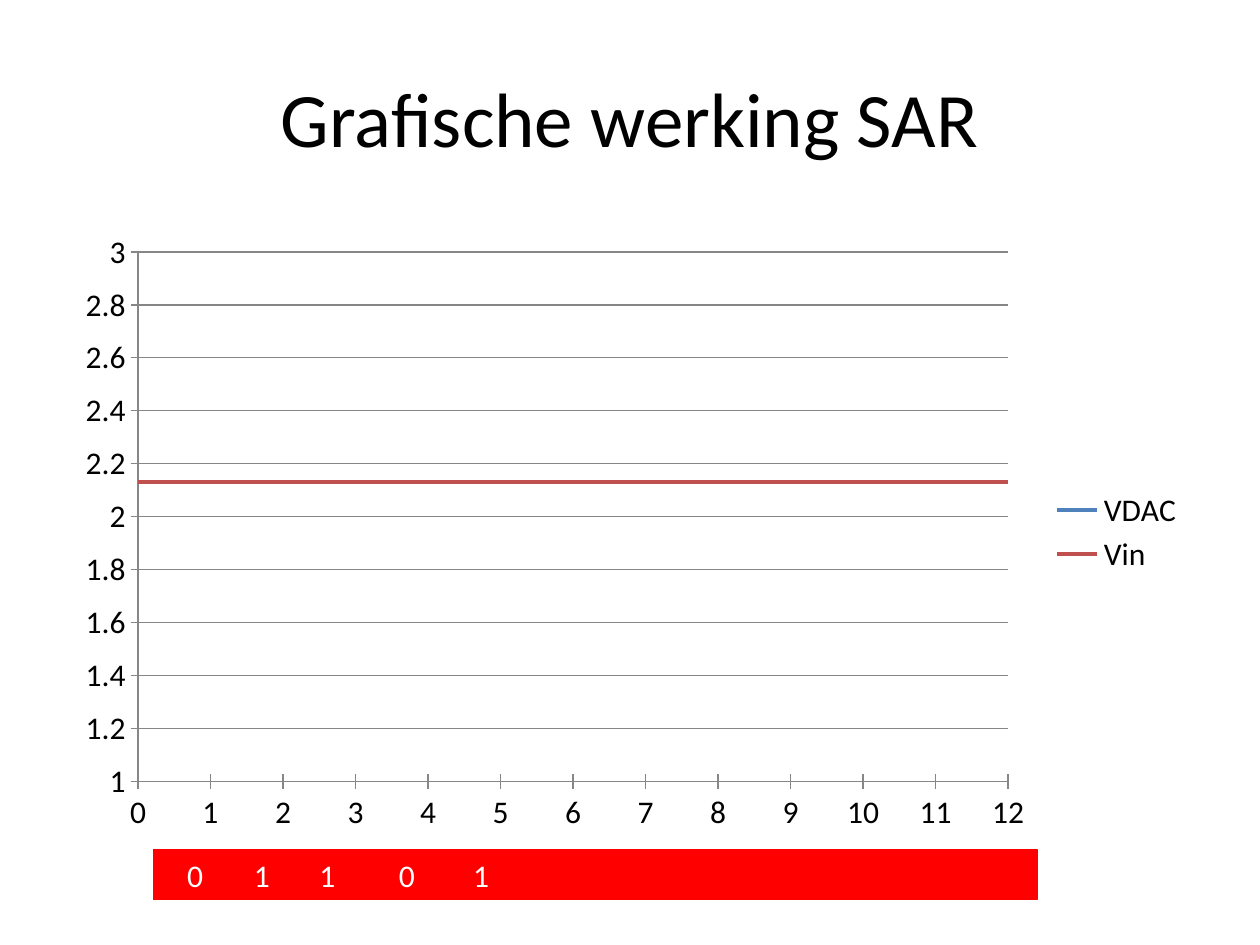
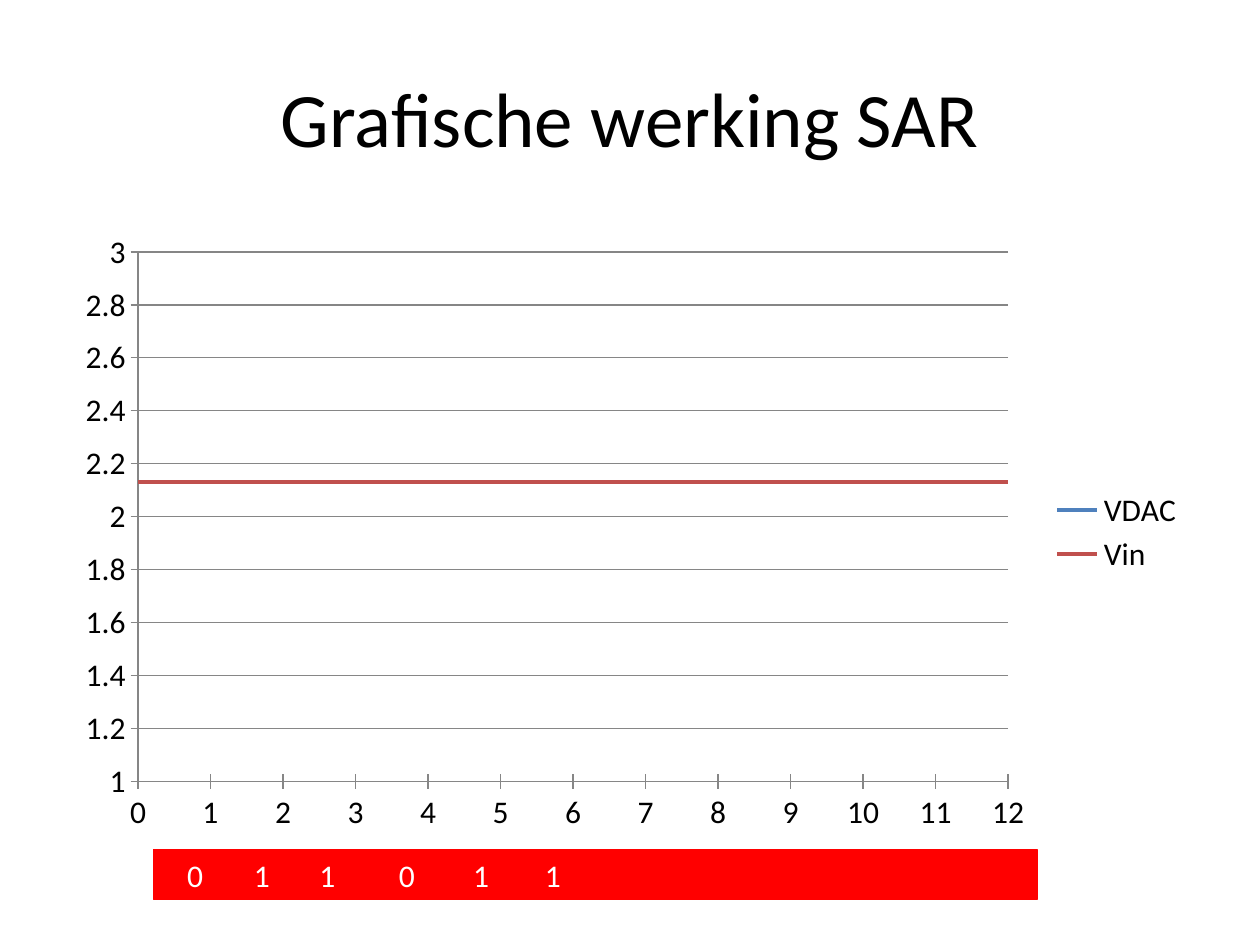
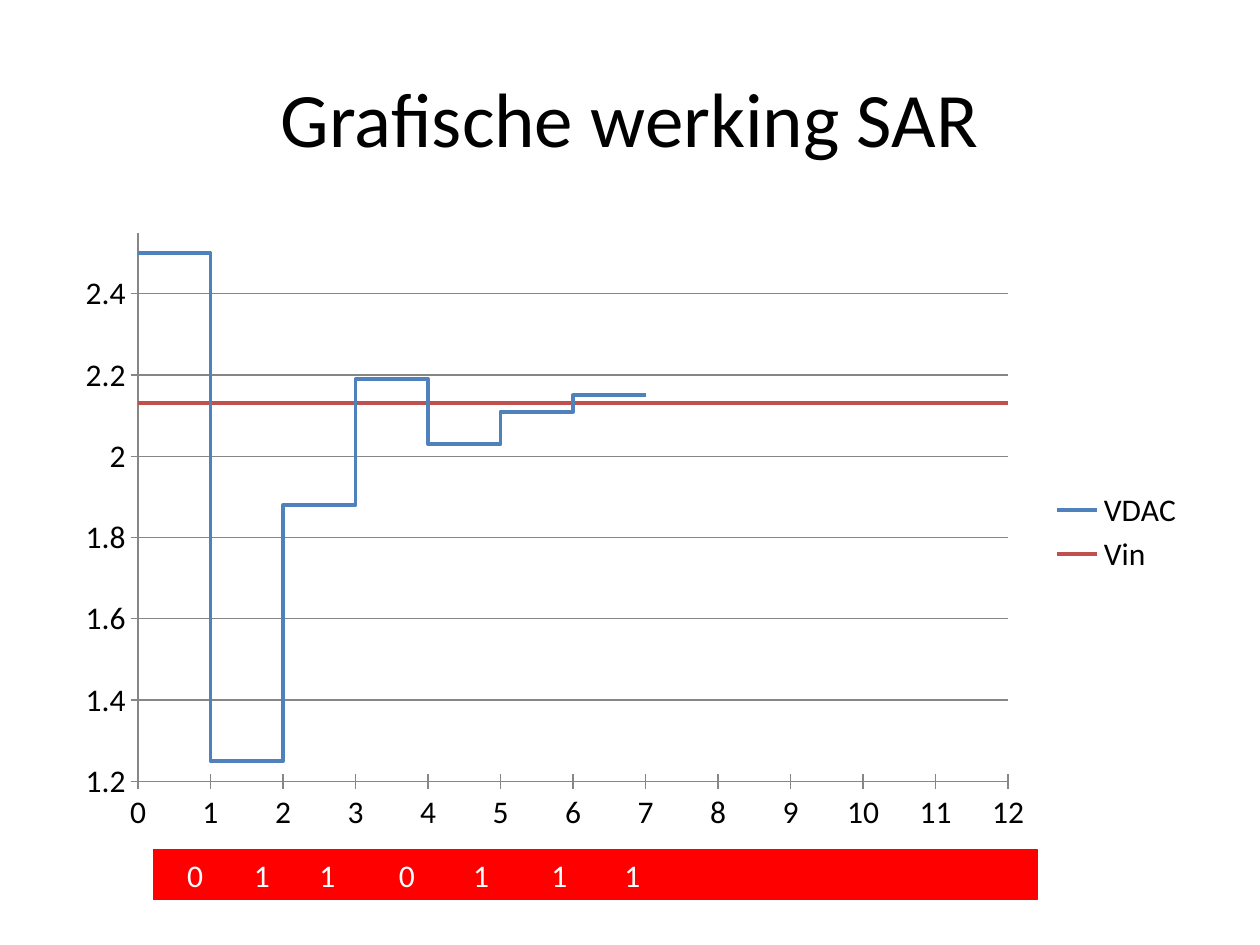
from pptx import Presentation
from pptx.chart.data import XyChartData
from pptx.dml.color import RGBColor
from pptx.enum.chart import XL_CHART_TYPE, XL_LEGEND_POSITION, XL_TICK_MARK
from pptx.enum.shapes import MSO_SHAPE
from pptx.enum.text import MSO_ANCHOR, PP_ALIGN
from pptx.oxml.ns import qn
from pptx.util import Inches, Pt
from lxml.etree import SubElement

BLACK = RGBColor(0x00, 0x00, 0x00)
WHITE = RGBColor(0xFF, 0xFF, 0xFF)
RED = RGBColor(0xFF, 0x00, 0x00)
GREY = RGBColor(0x86, 0x86, 0x86)
VDAC_BLUE = RGBColor(0x4F, 0x81, 0xBD)
VIN_RED = RGBColor(0xC0, 0x50, 0x4D)
FONT = "Calibri"

TITLE = "Grafische werking SAR"
DAC_LEVELS = [2.5, 1.25, 1.88, 2.19, 2.03, 2.11, 2.15]
VIN = 2.13
LAST_STEP = 12
FIRST_STOPS = [0.23, 0.76, 1.28, 1.91, 2.5]

SLIDES = [
    {"bits": "01101", "stops": FIRST_STOPS, "range": (1, 3)},
    {"bits": "011011", "stops": FIRST_STOPS + [3.07], "range": (1, 3)},
    {"bits": "0110111", "stops": FIRST_STOPS + [3.12, 3.7], "range": (1.2, 2.55)},
]

TITLE_BOX = (0.5, 0.3, 9, 1.25)
CHART_BOX = (0.5, 1.75, 9, 4.95)
BITS_BOX = (1.22, 6.74, 7.01, 0.4)


def inches(box):
    return [Inches(v) for v in box]


def set_font(font, size, color):
    for name, value in {"name": FONT, "size": Pt(size), "bold": False}.items():
        setattr(font, name, value)
    font.color.rgb = color


def add_title(s):
    tf = s.shapes.add_textbox(*inches(TITLE_BOX)).text_frame
    tf.word_wrap = True
    tf.vertical_anchor = MSO_ANCHOR.MIDDLE
    p = tf.paragraphs[0]
    p.alignment = PP_ALIGN.CENTER
    r = p.add_run()
    r.text = TITLE
    set_font(r.font, 44, BLACK)


def add_sar_chart(s, steps, low, high):
    data = XyChartData()
    vdac = data.add_series("VDAC")
    for step, level in enumerate(DAC_LEVELS[:steps]):
        vdac.add_data_point(step, level)
        vdac.add_data_point(step + 1, level)
    vin = data.add_series("Vin")
    for step in range(LAST_STEP + 1):
        vin.add_data_point(step, VIN)

    chart = s.shapes.add_chart(
        XL_CHART_TYPE.XY_SCATTER_LINES_NO_MARKERS, *inches(CHART_BOX), data
    ).chart
    chart.has_title = False
    set_font(chart.font, 18, BLACK)
    chart.has_legend = True
    chart.legend.position = XL_LEGEND_POSITION.RIGHT
    chart.legend.include_in_layout = False

    x_format = {"minimum_scale": 0, "maximum_scale": LAST_STEP, "major_unit": 1,
                "has_major_gridlines": False}
    y_format = {"minimum_scale": low, "maximum_scale": high, "major_unit": 0.2,
                "has_major_gridlines": True}
    for axis, values in ((chart.category_axis, x_format), (chart.value_axis, y_format)):
        for name, value in values.items():
            setattr(axis, name, value)
        axis.major_tick_mark = XL_TICK_MARK.CROSS
        axis.format.line.color.rgb = GREY
    chart.value_axis.major_gridlines.format.line.color.rgb = GREY

    plot = chart.plots[0]
    plot.vary_by_categories = False
    for series, color in zip(plot.series, (VDAC_BLUE, VIN_RED)):
        series.smooth = False
        series.format.line.color.rgb = color
        series.format.line.width = Pt(2.25)


def add_bits(s, bits, stops):
    sp = s.shapes.add_shape(MSO_SHAPE.RECTANGLE, *inches(BITS_BOX))
    sp.shadow.inherit = False
    sp.fill.solid()
    sp.fill.fore_color.rgb = RED
    sp.line.color.rgb = RED
    sp.line.width = Pt(0.75)
    tf = sp.text_frame
    tf.word_wrap = True
    p = tf.paragraphs[0]
    p.alignment = PP_ALIGN.LEFT
    tabs = SubElement(p._p.get_or_add_pPr(), qn("a:tabLst"))
    for stop in stops:
        SubElement(tabs, qn("a:tab"), pos=str(Inches(stop)), algn="ctr")
    r = p.add_run()
    r.text = "".join("\t" + bit for bit in bits)
    set_font(r.font, 18, WHITE)


prs = Presentation()
prs.slide_width, prs.slide_height = Inches(10), Inches(7.5)
for content in SLIDES:
    s = prs.slides.add_slide(prs.slide_layouts[6])
    add_title(s)
    add_sar_chart(s, len(content["bits"]), *content["range"])
    add_bits(s, content["bits"], content["stops"])
prs.save("out.pptx")
